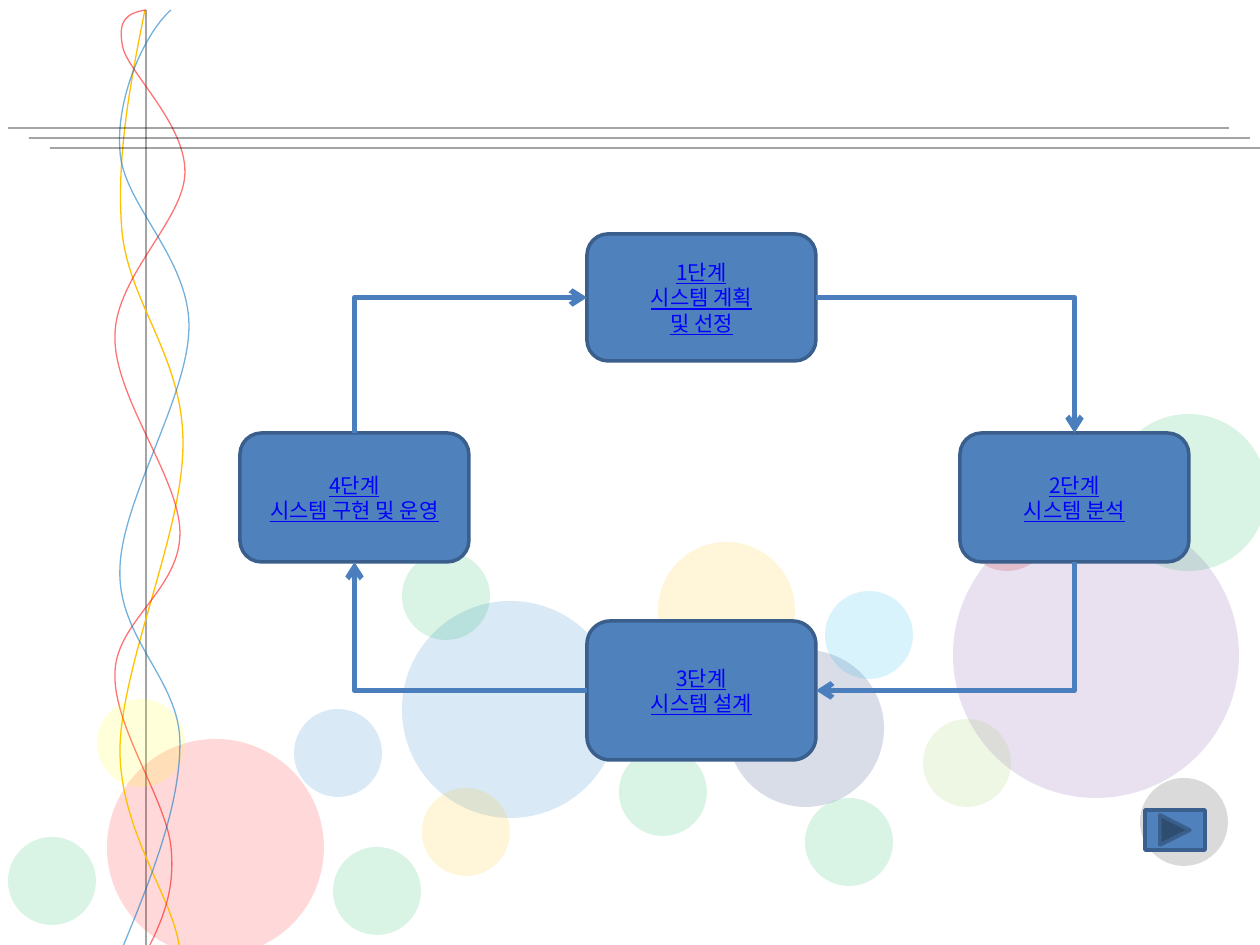
from lxml.etree import SubElement
from pptx import Presentation
from pptx.dml.color import RGBColor
from pptx.enum.shapes import MSO_CONNECTOR, MSO_SHAPE
from pptx.enum.text import MSO_ANCHOR, PP_ALIGN
from pptx.oxml.ns import qn
from pptx.util import Emu, Pt

# Content: lengths are px, 126 to the inch
SLIDE = (1260, 945)
STEPS = [  # box, lines; clockwise from the top
    ((587, 234, 229, 127), ["1단계", "시스템 계획", "및 선정"]),
    ((960, 433, 229, 129), ["2단계", "시스템 분석"]),
    ((587, 621, 229, 139), ["3단계", "시스템 설계"]),
    ((240, 433, 229, 129), ["4단계", "시스템 구현 및 운영"]),
]
TOP, LEFT, BOTTOM, RIGHT = range(4)
ARROW_SITES = [(RIGHT, TOP), (BOTTOM, RIGHT), (LEFT, BOTTOM), (TOP, LEFT)]
NEXT_BUTTON = (1145, 810, 60, 40)

CIRCLES = [  # left, top, diameter, colour; back to front
    (107, 739, 217, "red"), (953, 512, 286, "purple"), (8, 837, 88, "green"),
    (963, 483, 88, "crimson"), (97, 699, 88, "yellow"), (923, 719, 88, "lime"),
    (619, 748, 88, "green"), (727, 650, 157, "navy"), (1140, 778, 88, "black"),
    (658, 542, 137, "gold"), (1110, 414, 157, "green"), (402, 601, 217, "blue"),
    (333, 847, 88, "green"), (294, 709, 88, "blue"), (422, 788, 88, "gold"),
    (805, 798, 88, "green"), (825, 591, 88, "sky"), (402, 552, 88, "green"),
]
AXIS = (146, 10, 146, 955)
RULES = [(8 + 21 * i, 128 + 10 * i, 1229 + 21 * i, 128 + 10 * i) for i in range(3)]

# Each curve: start point, then cubic segments (two controls and an end)
GOLD_CURVE = [
    (145, 10), (130, 84), (116, 159), (122, 231), (129, 304), (184, 358), (183, 445),
    (183, 532), (121, 665), (120, 750), (120, 835), (179, 905), (180, 955),
]
RED_CURVE = [
    (145, 955), (160, 925), (176, 893), (171, 847), (166, 799), (113, 726), (115, 673),
    (116, 621), (180, 590), (180, 533), (180, 478), (113, 396), (115, 335),
    (116, 276), (184, 220), (185, 173), (186, 125), (130, 74), (123, 48),
    (117, 20), (127, 13), (146, 10),
]
BLUE_CURVE = [
    (120, 954), (150, 881), (180, 808), (180, 743), (180, 680), (118, 639), (120, 570),
    (121, 500), (189, 397), (189, 326), (189, 257), (122, 203), (120, 150),
    (116, 97), (145, 33), (171, 10),
]

THEME = {
    "font": "Noto Sans CJK KR", "size": 12,
    "hairline": 0.75, "outline": 2, "arrow_width": 3,
    "circle_alpha": 15, "line_alpha": 55,
    "box": "4F81BD", "box_line": "3A5F8C", "arrow": "4B7EBC", "text": "0000FF",
    "ink": "000000", "red": "FF0000", "purple": "7030A0", "green": "00B050",
    "crimson": "C00000", "yellow": "FFFF00", "lime": "92D050", "navy": "002060",
    "black": "0D0D0D", "gold": "FFC000", "blue": "0070C0", "sky": "00B0F0",
}


def px(n):
    return Emu(round(n * 914400 / 126))


def rgb(name):
    return RGBColor.from_string(THEME[name])


def set_alpha(parent, percent):
    color = parent.find(".//" + qn("a:srgbClr"))
    SubElement(color, qn("a:alpha"), val=str(percent * 1000))


def style_line(sp, color, width, alpha=None):
    sp.line.color.rgb = rgb(color)
    sp.line.width = Pt(THEME[width])
    if alpha:
        set_alpha(sp._element.spPr.get_or_add_ln(), THEME[alpha])


def add_solid(s, kind, box, color):
    sp = s.shapes.add_shape(kind, *map(px, box))
    sp.shadow.inherit = False
    sp.fill.solid()
    sp.fill.fore_color.rgb = rgb(color)
    return sp


def add_circle(s, left, top, size, color):
    sp = add_solid(s, MSO_SHAPE.OVAL, (left, top, size, size), color)
    sp.line.fill.background()
    set_alpha(sp._element.spPr, THEME["circle_alpha"])


def add_hairline(s, ends):
    line = s.shapes.add_connector(MSO_CONNECTOR.STRAIGHT, *map(px, ends))
    style_line(line, "ink", "hairline", "line_alpha")
    SubElement(line._element.spPr, qn("a:effectLst"))


def add_curve(s, curve, color, alpha=None):
    start, *rest = [tuple(map(px, point)) for point in curve]
    builder = s.shapes.build_freeform(*start)
    builder.add_line_segments(rest, close=False)
    sp = builder.convert_to_shape()
    # Regroup every three straight segments as one cubic segment
    outline = sp._element.spPr.find(".//" + qn("a:path"))
    segments = outline.findall(qn("a:lnTo"))
    for i in range(0, len(segments), 3):
        cubic = SubElement(outline, qn("a:cubicBezTo"))
        for segment in segments[i:i + 3]:
            cubic.append(segment[0])
            outline.remove(segment)
    sp.shadow.inherit = False
    sp.fill.background()
    style_line(sp, color, "hairline", alpha)


def add_step(s, box, lines):
    sp = add_solid(s, MSO_SHAPE.ROUNDED_RECTANGLE, box, "box")
    style_line(sp, "box_line", "outline")
    tf = sp.text_frame
    tf.word_wrap = True
    tf.vertical_anchor = MSO_ANCHOR.MIDDLE
    tf.text = "\n".join(lines)
    for p in tf.paragraphs:
        p.alignment = PP_ALIGN.CENTER
        p.font.name = THEME["font"]
        p.font.size = Pt(THEME["size"])
        p.font.underline = True
        p.font.color.rgb = rgb("text")
        SubElement(p._p.pPr.find(qn("a:defRPr")), qn("a:ea"), typeface=THEME["font"])
    return sp


def site_point(sp, site):
    middle_x, middle_y = sp.left + sp.width // 2, sp.top + sp.height // 2
    return [(middle_x, sp.top), (sp.left, middle_y),
            (middle_x, sp.top + sp.height), (sp.left + sp.width, middle_y)][site]


def add_corner_arrow(s, start, end, sites, turns):
    """Join two steps by one right-angled bend, turned by quarter turns."""
    (x1, y1), (x2, y2) = site_point(start, sites[0]), site_point(end, sites[1])
    line = s.shapes.add_connector(MSO_CONNECTOR.ELBOW, x1, y1, x2, y2)
    line.begin_connect(start, sites[0])
    line.end_connect(end, sites[1])
    spPr = line._element.spPr
    spPr.find(qn("a:prstGeom")).set("prst", "bentConnector2")
    xfrm = spPr.find(qn("a:xfrm"))
    for flip in ("flipH", "flipV"):
        xfrm.attrib.pop(flip, None)
    xfrm.set("rot", str(turns * 90 * 60000))
    width, height = abs(x2 - x1), abs(y2 - y1)
    if turns % 2:
        width, height = height, width
    line.left, line.top = Emu((x1 + x2 - width) // 2), Emu((y1 + y2 - height) // 2)
    line.width, line.height = Emu(width), Emu(height)
    style_line(line, "arrow", "arrow_width")
    SubElement(spPr.get_or_add_ln(), qn("a:tailEnd"), type="arrow")
    SubElement(spPr, qn("a:effectLst"))


def main():
    prs = Presentation()
    prs.slide_width, prs.slide_height = map(px, SLIDE)
    s = prs.slides.add_slide(prs.slide_layouts[6])

    # Background decoration
    add_hairline(s, AXIS)
    back_circle, *front_circles = CIRCLES
    add_circle(s, *back_circle)
    add_curve(s, GOLD_CURVE, "gold")
    add_curve(s, RED_CURVE, "red", "line_alpha")
    for circle in front_circles:
        add_circle(s, *circle)
    add_curve(s, BLUE_CURVE, "blue", "line_alpha")
    for rule in RULES:
        add_hairline(s, rule)

    # Cycle of steps
    steps = [add_step(s, box, lines) for box, lines in STEPS]
    for i, sites in enumerate(ARROW_SITES):
        add_corner_arrow(s, steps[i], steps[(i + 1) % len(steps)], sites, i)

    # Forward button
    button = add_solid(s, MSO_SHAPE.ACTION_BUTTON_FORWARD_OR_NEXT, NEXT_BUTTON, "box")
    style_line(button, "box_line", "outline")

    prs.save("out.pptx")


if __name__ == "__main__":
    main()
